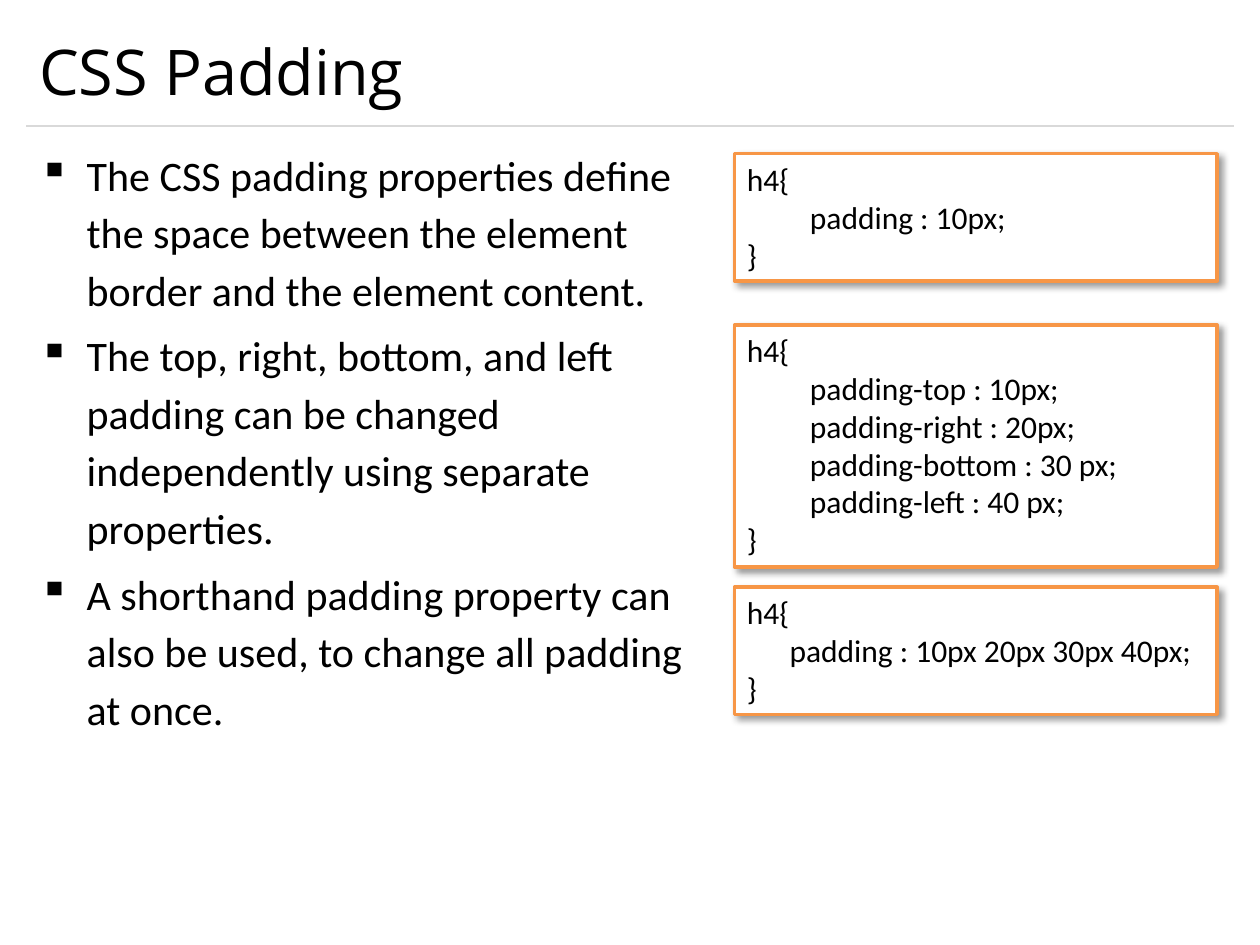
from dataclasses import dataclass

import lxml.etree
import pptx
import pptx.dml.color
import pptx.enum.shapes
import pptx.enum.text
import pptx.oxml.ns
import pptx.util
from pptx.util import Inches

qn = pptx.oxml.ns.qn


@dataclass(frozen=True)
class Theme:
    text: str = "000000"
    paper: str = "FFFFFF"
    rule: str = "D9D9D9"
    accent: str = "F79646"
    title_font: str = "Open Sans"
    body_font: str = "Calibri"
    title_size: int = 36
    body_size: int = 24
    code_size: int = 18


@dataclass(frozen=True)
class CodeBox:
    top: float
    height: float
    lines: tuple[str, ...]


THEME = Theme()
MARGIN = 0.21
CONTENT_WIDTH = 10 - 2 * MARGIN
CODE_LEFT, CODE_WIDTH = 5.83, 3.83

BULLETS = (
    "The CSS padding properties define the space between the element border "
    "and the element content.",
    "The top, right, bottom, and left padding can be changed independently "
    "using separate properties.",
    "A shorthand padding property can also be used, to change all padding at once.",
)
CODE_BOXES = (
    CodeBox(1.22, 1.01, ("h4{", "        \tpadding : 10px;", "}")),
    CodeBox(2.58, 1.92, (
        "h4{",
        "\tpadding-top : 10px;",
        "\tpadding-right : 20px;",
        "\tpadding-bottom : 30 px;",
        "\tpadding-left : 40 px;",
        "}",
    )),
    CodeBox(4.66, 1.01, ("h4{", "      padding : 10px 20px 30px 40px;", "}")),
)


def rgb(value: str) -> pptx.dml.color.RGBColor:
    return pptx.dml.color.RGBColor.from_string(value)


def add_span(para, text: str, font: str, size: int) -> None:
    span = para.add_run()
    span.text = text
    span.font.name = font
    span.font.size = pptx.util.Pt(size)
    span.font.color.rgb = rgb(THEME.text)


def paragraphs(frame, count: int) -> list:
    return [frame.paragraphs[0]] + [frame.add_paragraph() for _ in range(count - 1)]


def add_title(page, text: str) -> None:
    title = page.shapes.title
    title.left, title.top = Inches(MARGIN), Inches(0.12)
    title.width, title.height = Inches(CONTENT_WIDTH), Inches(0.88)
    title.text_frame.vertical_anchor = pptx.enum.text.MSO_ANCHOR.MIDDLE
    para = title.text_frame.paragraphs[0]
    para.alignment = pptx.enum.text.PP_ALIGN.LEFT
    add_span(para, text, THEME.title_font, THEME.title_size)


def add_rule(page, top: float) -> None:
    rule = page.shapes.add_connector(
        pptx.enum.shapes.MSO_CONNECTOR.STRAIGHT,
        Inches(MARGIN), Inches(top), Inches(MARGIN + CONTENT_WIDTH), Inches(top))
    rule.line.color.rgb = rgb(THEME.rule)
    rule.line.width = pptx.util.Pt(0.75)
    lxml.etree.SubElement(rule._element.spPr, qn("a:effectLst"))


def add_bullets(page, texts: tuple[str, ...]) -> None:
    box = page.shapes.add_textbox(
        Inches(MARGIN), Inches(1.08), Inches(5.62), Inches(5.83))
    box.text_frame.word_wrap = True
    for index, (para, text) in enumerate(
            zip(paragraphs(box.text_frame, len(texts)), texts)):
        para.line_spacing = 1.14
        if index:
            para.space_before = pptx.util.Pt(0.2 * THEME.body_size)
        properties = para._p.get_or_add_pPr()
        properties.set("marL", str(Inches(0.38)))
        properties.set("indent", str(-Inches(0.38)))
        lxml.etree.SubElement(properties, qn("a:buChar"), char="▪")
        add_span(para, text, THEME.body_font, THEME.body_size)


def add_shadow(shape) -> None:
    shape.shadow.inherit = False
    effects = shape._element.spPr.find(qn("a:effectLst"))
    shadow = lxml.etree.SubElement(
        effects, qn("a:outerShdw"), blurRad=str(pptx.util.Pt(4)),
        dist=str(pptx.util.Pt(3)), dir=str(45 * 60000), algn="tl", rotWithShape="0")
    color = lxml.etree.SubElement(shadow, qn("a:srgbClr"), val=THEME.text)
    lxml.etree.SubElement(color, qn("a:alpha"), val="40000")


def add_code(page, code: CodeBox) -> None:
    box = page.shapes.add_shape(
        pptx.enum.shapes.MSO_SHAPE.RECTANGLE,
        Inches(CODE_LEFT), Inches(code.top), Inches(CODE_WIDTH), Inches(code.height))
    box.fill.solid()
    box.fill.fore_color.rgb = rgb(THEME.paper)
    box.line.color.rgb = rgb(THEME.accent)
    box.line.width = pptx.util.Pt(2)
    add_shadow(box)
    frame = box.text_frame
    frame.word_wrap = True
    frame.auto_size = pptx.enum.text.MSO_AUTO_SIZE.SHAPE_TO_FIT_TEXT
    frame.vertical_anchor = pptx.enum.text.MSO_ANCHOR.TOP
    for para, line in zip(paragraphs(frame, len(code.lines)), code.lines):
        para.alignment = pptx.enum.text.PP_ALIGN.LEFT
        add_span(para, line, THEME.body_font, THEME.code_size)


def main() -> None:
    deck = pptx.Presentation()
    deck.slide_width, deck.slide_height = Inches(10), Inches(7.5)
    page = deck.slides.add_slide(deck.slide_layouts.get_by_name("Title Only"))

    # Heading
    add_rule(page, 1)
    add_title(page, "CSS Padding")

    # Explanation on the left
    add_bullets(page, BULLETS)

    # Code samples on the right
    for code in CODE_BOXES:
        add_code(page, code)

    deck.save("out.pptx")


if __name__ == "__main__":
    main()
